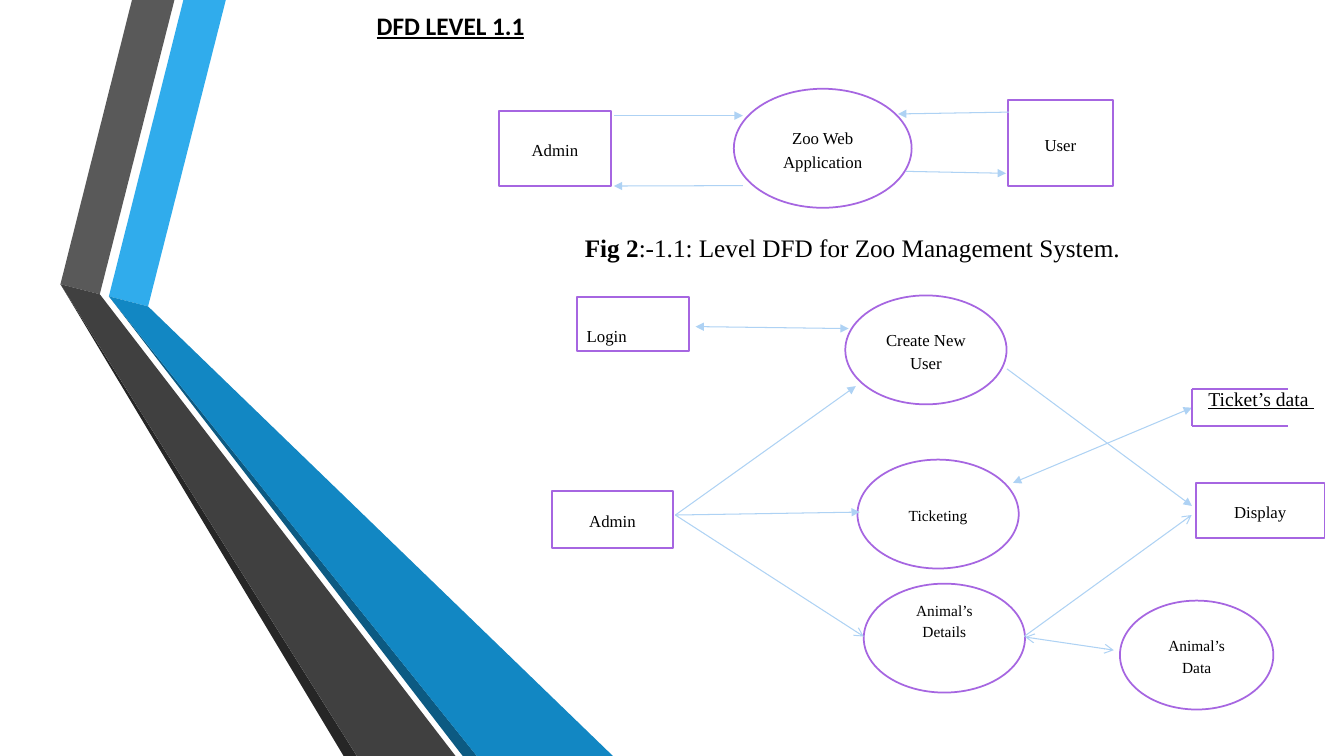
from dataclasses import dataclass

from lxml.etree import SubElement
from pptx import Presentation
from pptx.dml.color import RGBColor
from pptx.enum.shapes import MSO_CONNECTOR as Connector, MSO_SHAPE as Preset
from pptx.enum.text import MSO_ANCHOR as Anchor, PP_ALIGN as Align
from pptx.oxml.ns import qn
from pptx.slide import Slide
from pptx.text.text import TextFrame
from pptx.util import Pt


@dataclass(frozen=True)
class Theme:
    text: str = "000000"
    paper: str = "FFFFFF"
    outline: str = "A666E1"
    flow: str = "AED2F4"
    sky: str = "30ACEC"
    blue: str = "1287C3"
    navy: str = "0C5A82"
    grey: str = "595959"
    charcoal: str = "404040"
    black: str = "262626"
    serif: str = "Times New Roman"
    sans: str = "Calibri"
    heading: float = 18
    data_store: float = 14
    label: float = 12
    small: float = 11
    outline_width: float = 1.25
    flow_width: float = 0.75
    line_spacing: float = 1.15
    space_after: float = 10


THEME = Theme()


@dataclass(frozen=True)
class Band:
    color: str
    points: list[tuple[float, float]]


@dataclass(frozen=True)
class Node:
    text: str
    preset: Preset
    left: float
    top: float
    width: float
    height: float
    size: float = THEME.label
    align: Align = Align.CENTER
    anchor: Anchor = Anchor.MIDDLE
    bottom_inset: float = 3.6


@dataclass(frozen=True)
class Link:
    start: tuple[float, float]
    end: tuple[float, float]
    tail: str = "triangle"
    head: str = ""
    color: str = THEME.flow
    width: float = THEME.flow_width


BEND_GREY, BEND_BLUE = (43.2, 203), (77.8, 211.7)
INNER_GREY, INNER_BLUE = (71.3, 210.2), (105.8, 218.9)
BANDS = [
    Band(THEME.sky, [BEND_BLUE, INNER_BLUE, (161.3, 0), (131, 0)]),
    Band(THEME.grey, [BEND_GREY, INNER_GREY, (124.6, 0), (94.3, 0)]),
    Band(THEME.black, [BEND_GREY, (245.5, 540), (254.9, 540)]),
    Band(THEME.navy, [BEND_BLUE, (330.5, 540), (340.6, 540)]),
    Band(THEME.blue, [BEND_BLUE, (340.6, 540), (437.8, 540), INNER_BLUE]),
    Band(THEME.charcoal, [BEND_GREY, (254.9, 540), (325.4, 540), INNER_GREY]),
]

PROCESS = (115.2, 77.8)
NODES = [
    Node("Admin", Preset.RECTANGLE, 356.4, 79.2, 80, 53.5),
    Node("Zoo Web Application", Preset.OVAL, 524.2, 63.4, 127, 85),
    Node("User", Preset.RECTANGLE, 720, 71.4, 75, 61.4),
    Node("Login", Preset.RECTANGLE, 412, 212, 80, 38.8,
         align=Align.LEFT, anchor=Anchor.BOTTOM),
    Node("Create New User", Preset.OVAL, 603.8, 211, *PROCESS),
    Node("Admin", Preset.RECTANGLE, 394.4, 350.6, 86.2, 40.8),
    Node("Ticketing", Preset.OVAL, 612.5, 328.3, *PROCESS, THEME.small),
    Node("Display", Preset.RECTANGLE, 854.2, 344.9, 92, 39.4),
    Node("Animal’s Details", Preset.OVAL, 617, 416.9, *PROCESS, THEME.small,
         bottom_inset=30),
    Node("Animal’s Data", Preset.OVAL, 800, 429, 109.6, 77.8, THEME.small),
]

ADMIN_OUT = (482.4, 367.9)
STORE_LEFT, STORE_RIGHT, STORE_TOP, STORE_BOTTOM = 851.4, 920.2, 278, 304.5
STORE_ENTRY = (STORE_LEFT, (STORE_TOP + STORE_BOTTOM) / 2)
STORE_STYLE = {"tail": "", "color": THEME.outline, "width": THEME.outline_width}
LINKS = [
    Link((438.5, 82.6), (530.6, 82.6)),
    Link((530.6, 132.6), (438.5, 132.9)),
    Link((720.7, 80.1), (641.5, 81.4)),
    Link((647.3, 122.4), (718.6, 123.8)),
    Link(ADMIN_OUT, (614.2, 365.8)),
    Link(ADMIN_OUT, (611.3, 275.8)),
    Link(ADMIN_OUT, (617, 454.7), "arrow"),
    Link((719.3, 263.5), (851.4, 361.4)),
    Link((723.6, 344.9), STORE_ENTRY, head="triangle"),
    Link((496.8, 233.3), (606.2, 234.7), head="triangle"),
    Link((731.5, 454.7), (851.2, 367.9), "arrow"),
    Link((732.2, 455), (795.6, 464.4), "arrow", "arrow"),
    Link((STORE_LEFT, STORE_TOP), (STORE_LEFT, STORE_BOTTOM), **STORE_STYLE),
    Link((STORE_LEFT, STORE_TOP), (STORE_RIGHT, STORE_TOP), **STORE_STYLE),
    Link((STORE_LEFT, STORE_BOTTOM), (STORE_RIGHT, STORE_BOTTOM), **STORE_STYLE),
]


def rgb(color: str) -> RGBColor:
    return RGBColor.from_string(color)


def write_text(frame: TextFrame, text: str, *, size: float, font: str = THEME.serif,
               bold: bool = False, underline: bool = False,
               align: Align = Align.LEFT, anchor: Anchor = Anchor.TOP,
               line_spacing: float = 1.0, space_after: float = 0) -> None:
    frame.word_wrap = True
    frame.vertical_anchor = anchor
    paragraph = frame.paragraphs[0]
    paragraph.alignment = align
    paragraph.line_spacing = line_spacing
    paragraph.space_after = Pt(space_after)
    run = paragraph.add_run()
    run.text = text
    run.font.size = Pt(size)
    run.font.name = font
    run.font.bold = bold
    run.font.underline = underline
    run.font.color.rgb = rgb(THEME.text)


def add_text_box(slide: Slide, left: float, top: float, width: float,
                 height: float) -> TextFrame:
    return slide.shapes.add_textbox(Pt(left), Pt(top), Pt(width), Pt(height)).text_frame


def draw_band(slide: Slide, band: Band) -> None:
    start, *rest = [(Pt(x), Pt(y)) for x, y in band.points]
    builder = slide.shapes.build_freeform(*start)
    builder.add_line_segments(rest, close=True)
    shape = builder.convert_to_shape()
    shape.shadow.inherit = False
    shape.fill.solid()
    shape.fill.fore_color.rgb = rgb(band.color)
    shape.line.fill.background()


def draw_node(slide: Slide, node: Node) -> None:
    shape = slide.shapes.add_shape(node.preset, Pt(node.left), Pt(node.top),
                                   Pt(node.width), Pt(node.height))
    shape.shadow.inherit = False
    shape.fill.solid()
    shape.fill.fore_color.rgb = rgb(THEME.paper)
    shape.line.color.rgb = rgb(THEME.outline)
    shape.line.width = Pt(THEME.outline_width)
    shape.text_frame.margin_bottom = Pt(node.bottom_inset)
    write_text(shape.text_frame, node.text, size=node.size, align=node.align,
               anchor=node.anchor, line_spacing=THEME.line_spacing,
               space_after=THEME.space_after)


def draw_link(slide: Slide, link: Link) -> None:
    points = [Pt(value) for value in (*link.start, *link.end)]
    connector = slide.shapes.add_connector(Connector.STRAIGHT, *points)
    connector.line.color.rgb = rgb(link.color)
    connector.line.width = Pt(link.width)
    properties = connector._element.spPr
    line = properties.find(qn("a:ln"))
    for tag, kind in (("a:headEnd", link.head), ("a:tailEnd", link.tail)):
        if kind:
            SubElement(line, qn(tag), type=kind)
    SubElement(properties, qn("a:effectLst"))


def main() -> None:
    presentation = Presentation()
    presentation.slide_width, presentation.slide_height = Pt(960), Pt(540)
    slide = presentation.slides.add_slide(presentation.slide_layouts[6])
    for band in BANDS:
        draw_band(slide, band)
    for node in NODES:
        draw_node(slide, node)
    for link in LINKS:
        draw_link(slide, link)
    write_text(add_text_box(slide, 262, 3.6, 150.5, 28.8), "DFD LEVEL 1.1",
               size=THEME.heading, font=THEME.sans, bold=True, underline=True,
               anchor=Anchor.MIDDLE)
    write_text(add_text_box(slide, 800, 272.9, 145.4, 28), "Ticket’s data ",
               size=THEME.data_store, underline=True, align=Align.RIGHT)
    caption = add_text_box(slide, 410.7, 159.1, 484, 30.2)
    write_text(caption, "Fig 2", size=THEME.heading, bold=True,
               line_spacing=THEME.line_spacing)
    write_text(caption, ":-1.1: Level DFD for Zoo Management System.",
               size=THEME.heading, line_spacing=THEME.line_spacing)
    presentation.save("out.pptx")


if __name__ == "__main__":
    main()
